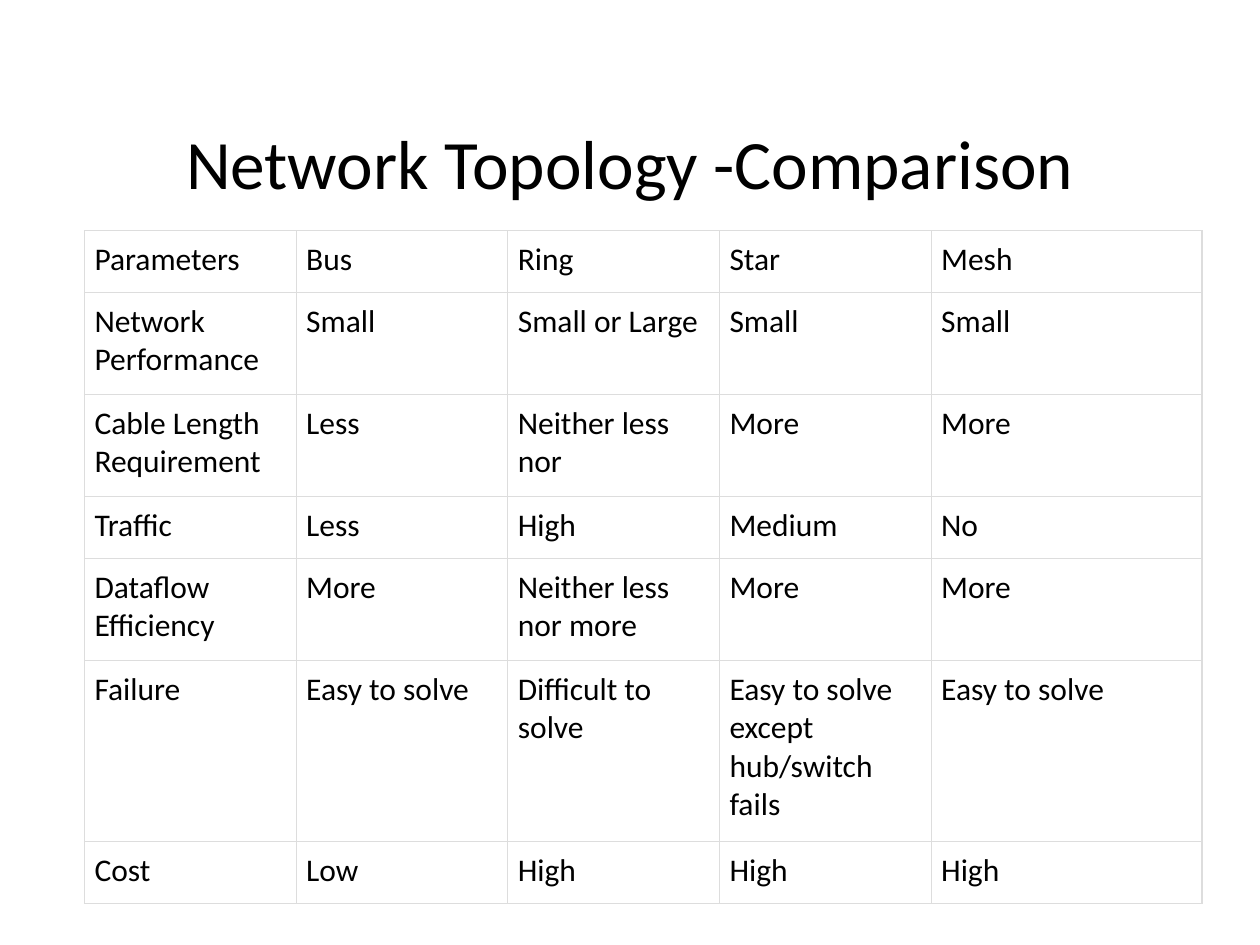
from pptx import Presentation
from pptx.dml.color import RGBColor
from pptx.enum.text import MSO_ANCHOR, PP_ALIGN
from pptx.oxml import parse_xml
from pptx.oxml.ns import nsdecls
from pptx.util import Inches, Pt

FONT = "Calibri"
BLACK, WHITE, BORDER = "000000", "FFFFFF", "DDDDDD"
COLUMN_WIDTHS = [1.68] * 4 + [2.15]
ROW_HEIGHTS = [0.49, 0.81, 0.81, 0.49, 0.81, 1.44, 0.49]
COMPARISON = [
    ["Parameters", "Bus", "Ring", "Star", "Mesh"],
    ["Network Performance", "Small", "Small or Large", "Small", "Small"],
    ["Cable Length Requirement", "Less", "Neither less nor", "More", "More"],
    ["Traffic", "Less", "High", "Medium", "No"],
    ["Dataflow Efficiency", "More", "Neither less nor more", "More", "More"],
    ["Failure", "Easy to solve", "Difficult to solve",
     "Easy to solve except hub/switch fails", "Easy to solve"],
    ["Cost", "Low", "High", "High", "High"],
]


def color(hex_string):
    """Return the colour for a hex string."""
    return RGBColor.from_string(hex_string)


def write_text(text_frame, text, size):
    """Write one styled paragraph and return it."""
    paragraph = text_frame.paragraphs[0]
    paragraph.text = text
    paragraph.font.name = FONT
    paragraph.font.size = Pt(size)
    paragraph.font.color.rgb = color(BLACK)
    return paragraph


def add_title(slide, text):
    """Add the centred slide title."""
    shape = slide.shapes.add_textbox(
        Inches(0.5), Inches(0.36), Inches(9), Inches(1.25))
    text_frame = shape.text_frame
    text_frame.word_wrap = True
    text_frame.vertical_anchor = MSO_ANCHOR.BOTTOM
    text_frame.margin_bottom = 0
    write_text(text_frame, text, 39.6).alignment = PP_ALIGN.CENTER


def set_borders(cell, hex_string, width):
    """Draw all four borders of a cell."""
    properties = cell._tc.get_or_add_tcPr()
    for index, side in enumerate(("lnL", "lnR", "lnT", "lnB")):
        properties.insert(index, parse_xml(
            f'<a:{side} {nsdecls("a")} w="{Pt(width)}"><a:solidFill>'
            f'<a:srgbClr val="{hex_string}"/></a:solidFill></a:{side}>'))


def style_cell(cell, text):
    """Fill a table cell with text, background, margins and borders."""
    cell.margin_left = cell.margin_right = Inches(0.08)
    cell.margin_top = cell.margin_bottom = Inches(0.08)
    cell.fill.solid()
    cell.fill.fore_color.rgb = color(WHITE)
    write_text(cell.text_frame, text, 18)
    set_borders(cell, BORDER, 0.75)


def add_comparison_table(slide, rows):
    """Add the table that compares the topologies."""
    table = slide.shapes.add_table(
        len(rows), len(rows[0]), Inches(0.67), Inches(1.83),
        Inches(sum(COLUMN_WIDTHS)), Inches(sum(ROW_HEIGHTS))).table
    table.first_row = table.horz_banding = False
    for column, width in zip(table.columns, COLUMN_WIDTHS):
        column.width = Inches(width)
    for row, height, texts in zip(table.rows, ROW_HEIGHTS, rows):
        row.height = Inches(height)
        for cell, text in zip(row.cells, texts):
            style_cell(cell, text)


def main():
    """Build and save the presentation."""
    presentation = Presentation()
    presentation.slide_width = Inches(10)
    presentation.slide_height = Inches(7.5)
    slide = presentation.slides.add_slide(presentation.slide_layouts[6])
    add_title(slide, "Network Topology -Comparison")
    add_comparison_table(slide, COMPARISON)
    presentation.save("out.pptx")


if __name__ == "__main__":
    main()
